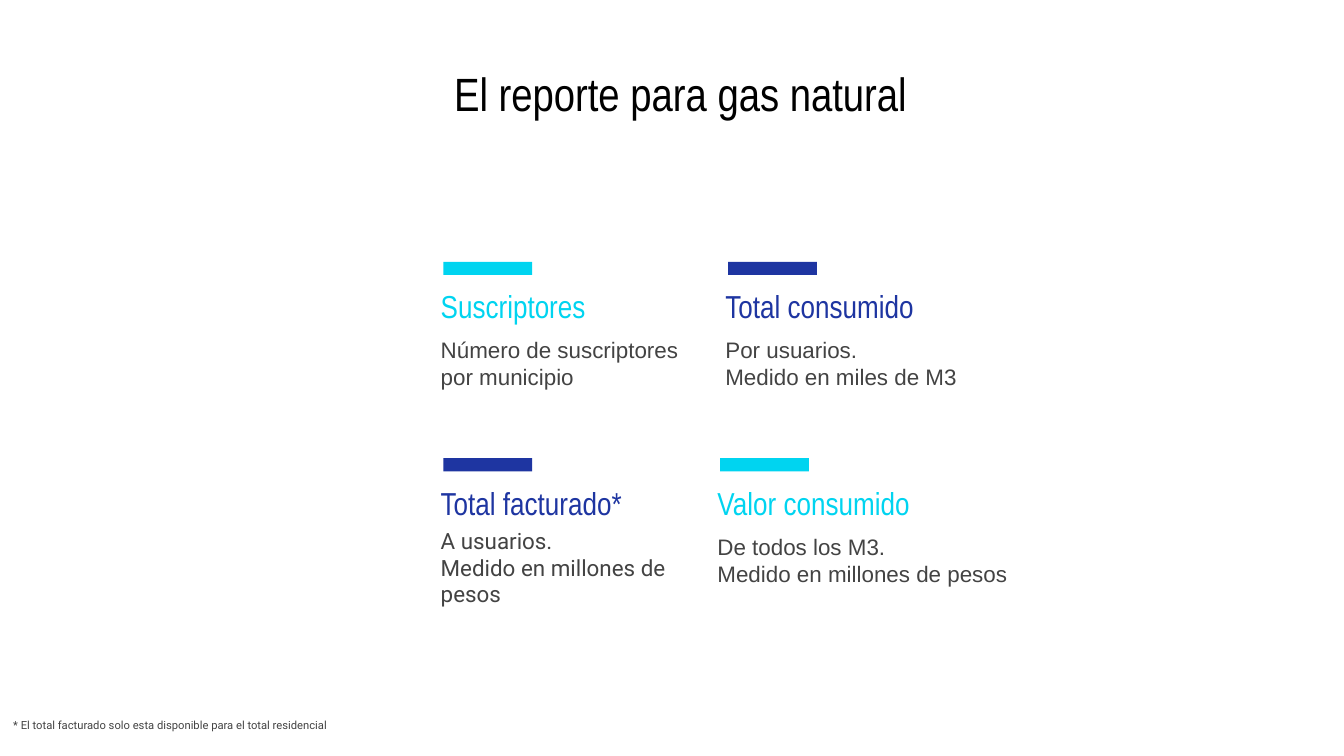
from pptx import Presentation
from pptx.dml.color import RGBColor
from pptx.enum.shapes import MSO_SHAPE as Shape
from pptx.enum.text import MSO_ANCHOR as Anchor, PP_ALIGN as Align
from pptx.util import Cm, Pt

BLACK = RGBColor(0x00, 0x00, 0x00)
GRAY = RGBColor(0x43, 0x43, 0x43)
CYAN = RGBColor(0x00, 0xD4, 0xF0)
NAVY = RGBColor(0x1E, 0x35, 0xA1)

INSET = 0.25
ROWS = (4.95, 8.66)

# left, top, heading width, body width, body offset, color, heading, body font, body lines
CARDS = [
    (8.08, ROWS[0], 4.93, 5.08, 1.16, CYAN, "Suscriptores", "Arial",
     ["Número de suscriptores por municipio"]),
    (13.46, ROWS[0], 4.93, 4.93, 1.16, NAVY, "Total consumido", "Arial",
     ["Por usuarios.", "Medido en miles de M3"]),
    (8.08, ROWS[1], 4.93, 4.93, 1.3, NAVY, "Total facturado*", "Roboto",
     ["A usuarios.", "Medido en millones de pesos"]),
    (13.31, ROWS[1], 5.31, 6.15, 1.16, CYAN, "Valor consumido", "Arial",
     ["De todos los M3.", "Medido en millones de pesos"]),
]


def add_text(shapes, box, lines, font, size, color, align=Align.LEFT):
    """Place vertically centred paragraphs in box (left, top, width, height in cm)."""
    tf = shapes.add_textbox(*map(Cm, box)).text_frame
    tf.word_wrap = True
    tf.vertical_anchor = Anchor.MIDDLE
    tf.margin_left = tf.margin_right = tf.margin_top = tf.margin_bottom = Cm(INSET)
    for i, line in enumerate(lines):
        p = tf.add_paragraph() if i else tf.paragraphs[0]
        p.text = line
        p.alignment = align
        p.font.name = font
        p.font.size = Pt(size)
        p.font.color.rgb = color


def add_title(s, box):
    add_text(s.shapes, box, ["El reporte para gas natural"],
             "Arial Narrow", 25, BLACK, Align.CENTER)


def add_card(s, left, top, head_w, body_w, body_dy, color, heading, font, lines):
    """Group an accent bar, a heading and a description."""
    shapes = s.shapes.add_group_shape().shapes
    add_text(shapes, (left, top + 0.47, head_w, 0.74), [heading],
             "Arial Narrow", 17, color)
    add_text(shapes, (left, top + body_dy, body_w, 1.52), lines, font, 12, GRAY)
    # Accent bar
    sp = shapes.add_shape(Shape.RECTANGLE, Cm(left + 0.3), Cm(top), Cm(1.68), Cm(0.25))
    sp.shadow.inherit = False
    sp.fill.solid()
    sp.fill.fore_color.rgb = color
    sp.line.fill.background()


def add_footnote(s, box):
    add_text(s.shapes, box,
             ["* El total facturado solo esta disponible para el total residencial"],
             "Roboto", 6, GRAY)


def main():
    prs = Presentation()
    prs.slide_width, prs.slide_height = Cm(25.4), Cm(14.29)
    s = prs.slides.add_slide(prs.slide_layouts[6])
    add_title(s, (1.47, 1.09, 22.78, 1.35))
    for card in CARDS:
        add_card(s, *card)
    add_footnote(s, (0, 12.95, 6.6, 1.52))
    prs.save("out.pptx")


if __name__ == "__main__":
    main()
